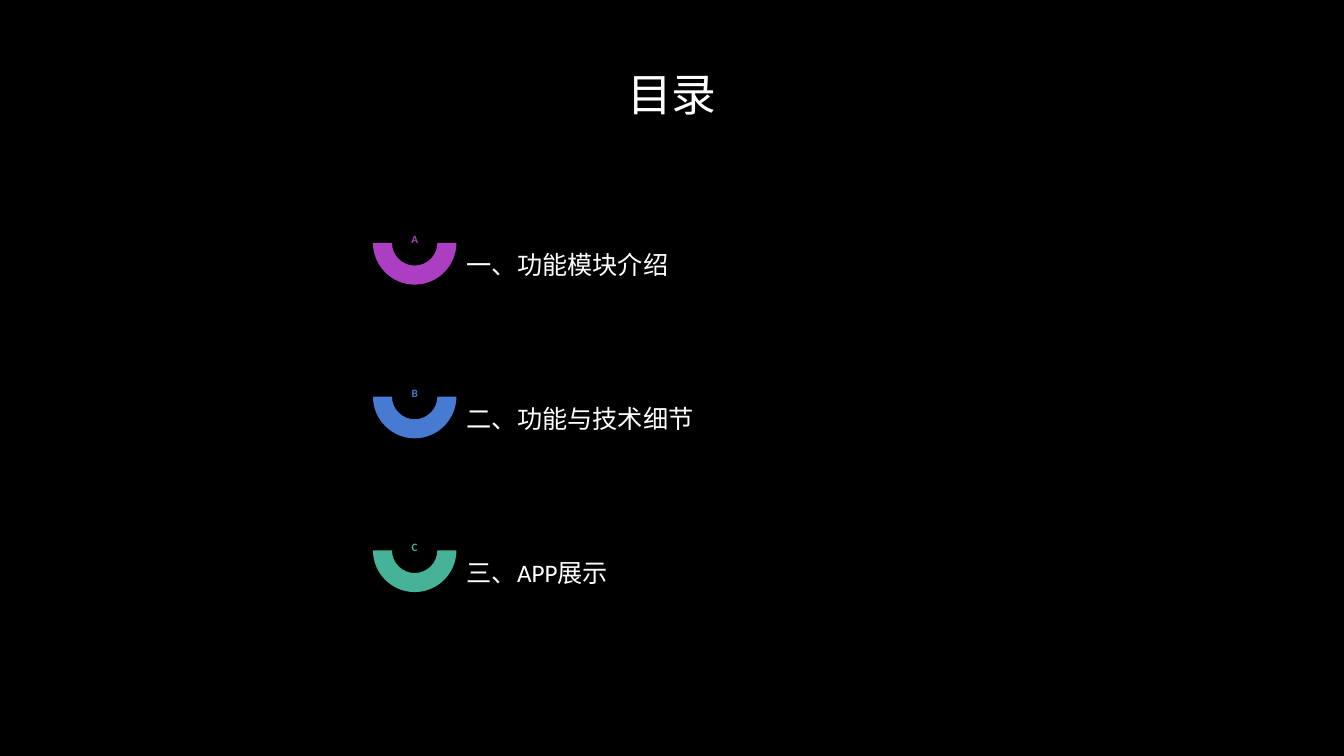
from dataclasses import dataclass

from lxml import etree
from pptx import Presentation
from pptx.dml.color import RGBColor
from pptx.enum.text import MSO_ANCHOR, MSO_AUTO_SIZE, PP_ALIGN
from pptx.oxml.ns import qn
from pptx.util import Pt

CENTER, JUSTIFY = PP_ALIGN.CENTER, PP_ALIGN.JUSTIFY
MIDDLE = MSO_ANCHOR.MIDDLE
NO_AUTOFIT = MSO_AUTO_SIZE.NONE
COMPARISON_LAYOUT = 4

COLORS = {
    "background": "000000",
    "text": "FFFFFF",
    "purple": "AC3EC1",
    "blue": "477BD1",
    "green": "46B298",
}

# Layout in points
TITLE_BOX = (174, 43.5, 612, 46)
RING_CENTER_X, FIRST_RING_TOP = 296.2, 173.5
OUTER_RADIUS, INNER_RADIUS = 29.8, 16.2
ROW_PITCH = 109.8
LABEL_LEFT, LABEL_WIDTH, LABEL_HEIGHT = 326.1, 367.9, 31
LABEL_RISE = 1
QUARTER_HANDLE = 0.55

TITLE_FONT = {"name": "Calibri", "size": Pt(32), "bold": False}
LABEL_FONT = {"name": "Calibri", "size": Pt(18), "bold": False}
LETTER_FONT = {"name": "Calibri", "size": Pt(8), "bold": True}
TITLE_PARAGRAPH = {"alignment": CENTER}
LABEL_PARAGRAPH = {"alignment": JUSTIFY, "line_spacing": 1.1, "space_before": Pt(0)}
LETTER_PARAGRAPH = {"alignment": CENTER, "line_spacing": 1.1}
PLACEHOLDER_FRAME = {
    "vertical_anchor": MIDDLE, "word_wrap": True, "auto_size": NO_AUTOFIT,
}
LETTER_FRAME = {
    "vertical_anchor": MIDDLE, "word_wrap": True,
    "margin_left": Pt(7.2), "margin_right": Pt(7.2),
    "margin_top": Pt(3.6), "margin_bottom": Pt(39.6),
}


@dataclass(frozen=True)
class AgendaItem:
    letter: str
    label: str
    color: str


AGENDA = [
    AgendaItem("A", "一、功能模块介绍", "purple"),
    AgendaItem("B", "二、功能与技术细节", "blue"),
    AgendaItem("C", "三、APP展示", "green"),
]


def apply_format(target, values: dict) -> None:
    for name, value in values.items():
        setattr(target, name, value)


def color_of(name: str) -> RGBColor:
    return RGBColor.from_string(COLORS[name])


def write_text(shape, text: str, color: str, frame_format: dict,
               paragraph_format: dict, font_format: dict) -> None:
    frame = shape.text_frame
    apply_format(frame, frame_format)
    paragraph = frame.paragraphs[0]
    apply_format(paragraph, paragraph_format)
    run = paragraph.add_run()
    run.text = text
    apply_format(run.font, font_format)
    run.font.color.rgb = color_of(color)


def place(shape, left: float, top: float, width: float, height: float) -> None:
    apply_format(shape, {"left": Pt(left), "top": Pt(top),
                         "width": Pt(width), "height": Pt(height)})


def remove_bullet(paragraph) -> None:
    properties = paragraph._p.get_or_add_pPr()
    properties.set("marL", "0")
    properties.set("indent", "0")
    etree.SubElement(properties, qn("a:buNone"))


def half_circle(radius: float, top: float) -> list[tuple[int, int]]:
    """Anchors and handles of two quarter curves, from left to right."""
    handle = QUARTER_HANDLE
    unit_points = [(-1, 0), (-1, handle), (-handle, 1), (0, 1),
                   (handle, 1), (1, handle), (1, 0)]
    return [(Pt(RING_CENTER_X + radius * x), Pt(top + radius * y))
            for x, y in unit_points]


def bend(lines: list) -> None:
    """Turn three line segments into one cubic curve."""
    curve = etree.Element(qn("a:cubicBezTo"))
    lines[0].addprevious(curve)
    for line in lines:
        curve.append(line[0])
        line.getparent().remove(line)


def draw_half_ring(slide, item: AgendaItem, top: float) -> None:
    start, *inner_and_outer = (
        half_circle(OUTER_RADIUS, top)[:1] + half_circle(INNER_RADIUS, top)
        + half_circle(OUTER_RADIUS, top)[::-1])
    builder = slide.shapes.build_freeform(*start, scale=1.0)
    builder.add_line_segments(inner_and_outer, close=True)
    ring = builder.convert_to_shape()
    lines = list(ring.element.iter(qn("a:lnTo")))
    for first in (1, 4, 8, 11):
        bend(lines[first:first + 3])
    ring.shadow.inherit = False
    ring.fill.solid()
    ring.fill.fore_color.rgb = color_of(item.color)
    ring.line.fill.background()
    write_text(ring, item.letter, item.color,
               LETTER_FRAME, LETTER_PARAGRAPH, LETTER_FONT)


def fill_label(label, item: AgendaItem, top: float) -> None:
    place(label, LABEL_LEFT, top, LABEL_WIDTH, LABEL_HEIGHT)
    write_text(label, item.label, "text",
               PLACEHOLDER_FRAME, LABEL_PARAGRAPH, LABEL_FONT)
    remove_bullet(label.text_frame.paragraphs[0])


def main() -> None:
    presentation = Presentation()
    presentation.slide_width, presentation.slide_height = Pt(960), Pt(540)
    layout = presentation.slide_layouts[COMPARISON_LAYOUT]
    slide = presentation.slides.add_slide(layout)
    slide.background.fill.solid()
    slide.background.fill.fore_color.rgb = color_of("background")

    # Title
    title, *labels = slide.placeholders
    place(title, *TITLE_BOX)
    write_text(title, "目录", "text", PLACEHOLDER_FRAME, TITLE_PARAGRAPH, TITLE_FONT)

    # Agenda rows
    for row, (item, label) in enumerate(zip(AGENDA, labels)):
        top = FIRST_RING_TOP + row * ROW_PITCH
        draw_half_ring(slide, item, top)
        fill_label(label, item, top - LABEL_RISE)

    # Unused placeholders
    for spare in labels[len(AGENDA):]:
        spare.element.getparent().remove(spare.element)

    presentation.save("out.pptx")


if __name__ == "__main__":
    main()
